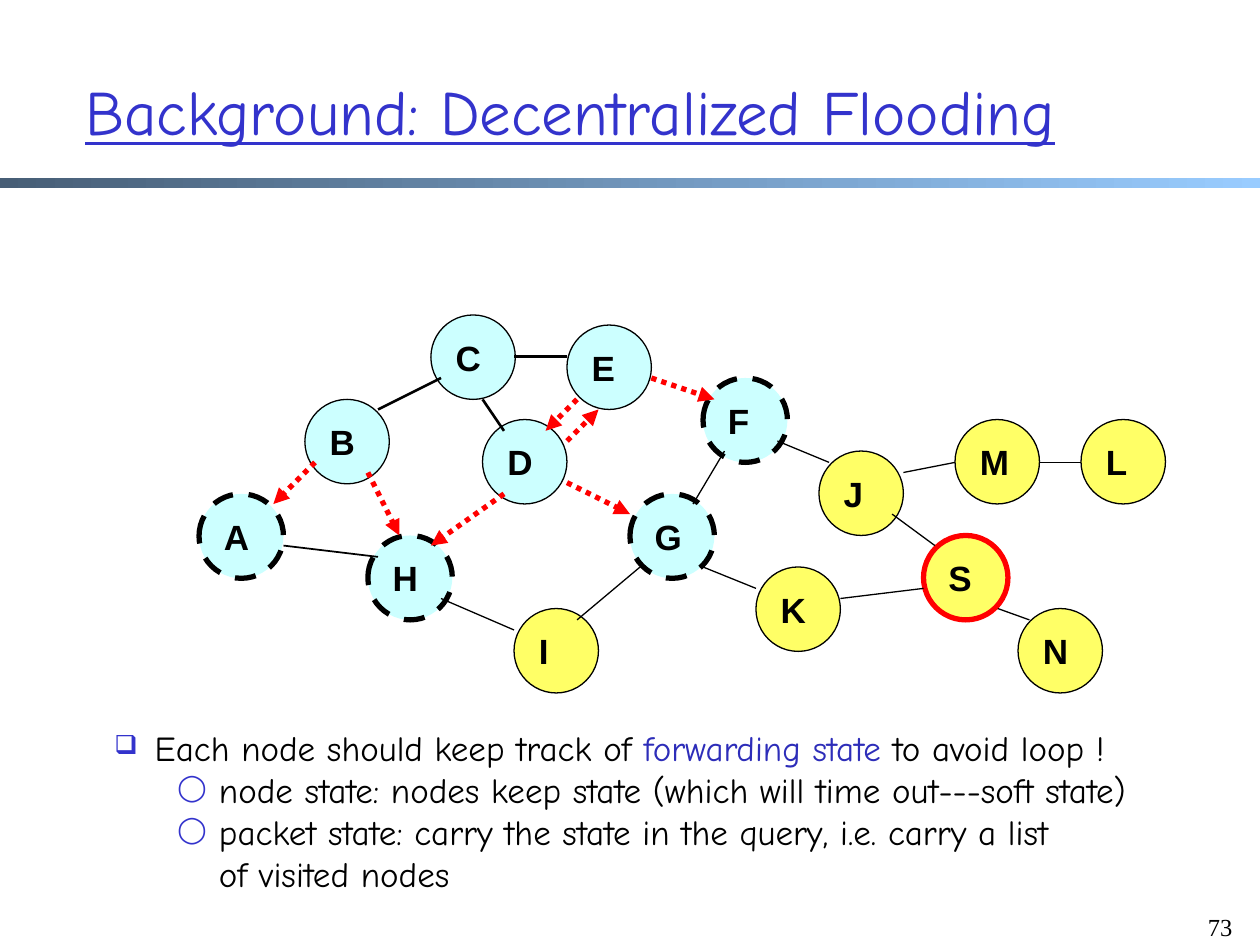
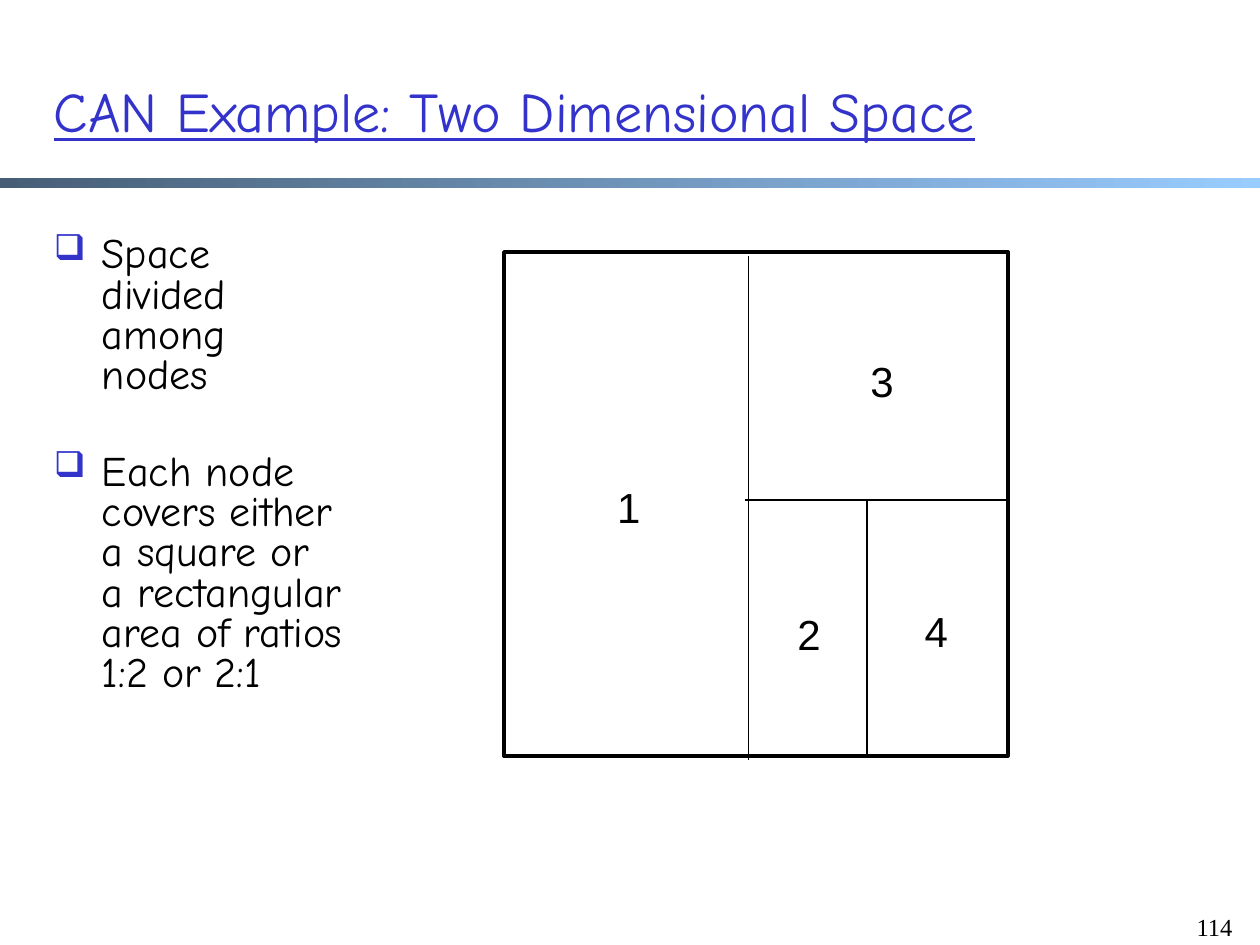
import dataclasses
import typing

import lxml.etree
import pptx
import pptx.dml.color
import pptx.enum.dml
import pptx.enum.shapes
import pptx.enum.text
import pptx.oxml.ns
import pptx.util

Inches = pptx.util.Inches
Pt = pptx.util.Pt
Dash = pptx.enum.dml.MSO_LINE
Kind = pptx.enum.shapes.MSO_SHAPE
Align = pptx.enum.text.PP_ALIGN
Anchor = pptx.enum.text.MSO_ANCHOR

HUES = {
    "ink": "000000", "title": "3333CC", "term": "2D2DB9", "dark": "475E76",
    "light": "99CCFF", "cyan": "CCFFFF", "yellow": "FFFF66", "red": "FF0000",
}
FONTS = {
    "title": {"name": "Comic Neue", "underline": True},
    "notes": {"name": "Comic Neue", "size": Pt(20)},
    "body": {"name": "Comic Neue", "size": Pt(24)},
    "page": {"name": "Times New Roman", "size": Pt(14)},
    "node": {"name": "Arial", "size": Pt(20), "bold": True},
    "zone": {"name": "Arial", "size": Pt(24)},
}
SIDE = 0.67  # node width


@dataclasses.dataclass
class Pen:
    hue: str = "ink"
    width: float = 0.75
    dash: typing.Any = None
    arrow: bool = False


THIN, FINE, BOLD = Pen(), Pen(width=1), Pen(width=1.5)
FRAME = Pen(width=2)
SEEN = Pen(width=3, dash=Dash.DASH)
GOAL = Pen("red", 3)
QUERY = Pen("red", 3, Dash.ROUND_DOT, True)


class Node(typing.NamedTuple):
    name: str
    x: float
    y: float
    fill: str = "cyan"
    pen: Pen = THIN


class Link(typing.NamedTuple):
    x1: float
    y1: float
    x2: float
    y2: float
    pen: Pen = THIN


class Label(typing.NamedTuple):
    text: str
    x: float
    y: float


class Item(typing.NamedTuple):
    runs: list[tuple[str, str]]
    mark: str
    scale: int  # bullet size in percent
    left: float
    hang: float
    form: dict[str, typing.Any] = {}


# Shared helpers
def tint(hue: str) -> pptx.dml.color.RGBColor:
    return pptx.dml.color.RGBColor.from_string(HUES[hue])


def apply(target: typing.Any, form: dict[str, typing.Any]) -> None:
    for key, value in form.items():
        setattr(target, key, value)


def tag(parent: typing.Any, name: str, **attrs: str) -> typing.Any:
    return lxml.etree.SubElement(parent, pptx.oxml.ns.qn(name), attrs)


def ink(line: typing.Any, pen: Pen) -> None:
    line.color.rgb = tint(pen.hue)
    line.width = Pt(pen.width)
    if pen.dash:
        line.dash_style = pen.dash


def write(para: typing.Any, text: str, font: str, hue: str = "ink", **more: typing.Any) -> None:
    for num, part in enumerate(text.split("\n")):
        if num:
            para.add_line_break()
        run = para.add_run()
        run.text = part
        apply(run.font, FONTS[font] | more)
        run.font.color.rgb = tint(hue)


def add_box(shapes: typing.Any, x: float, y: float, w: float, h: float,
            **form: typing.Any) -> typing.Any:
    frame = shapes.add_textbox(Inches(x), Inches(y), Inches(w), Inches(h)).text_frame
    apply(frame, {"word_wrap": True} | form)
    return frame


def add_form(shapes: typing.Any, kind: typing.Any, x: float, y: float,
             w: float, h: float) -> typing.Any:
    shape = shapes.add_shape(kind, Inches(x), Inches(y), Inches(w), Inches(h))
    shape.shadow.inherit = False
    return shape


def add_link(shapes: typing.Any, link: Link) -> None:
    ends = [Inches(value) for value in link[:4]]
    line = shapes.add_connector(pptx.enum.shapes.MSO_CONNECTOR.STRAIGHT, *ends)
    ink(line.line, link.pen)
    if link.pen.arrow:
        tag(line.line._get_or_add_ln(), "a:tailEnd", type="triangle")
    tag(line._element.spPr, "a:effectLst")


def add_node(shapes: typing.Any, node: Node) -> None:
    shape = add_form(shapes, Kind.OVAL, node.x, node.y, SIDE, SIDE)
    shape.fill.solid()
    shape.fill.fore_color.rgb = tint(node.fill)
    ink(shape.line, node.pen)
    frame = shape.text_frame
    apply(frame, {"word_wrap": False, "vertical_anchor": Anchor.MIDDLE})
    frame.paragraphs[0].alignment = Align.LEFT
    write(frame.paragraphs[0], node.name, "node")


def add_items(frame: typing.Any, items: list[Item], font: str) -> None:
    for num, item in enumerate(items):
        para = frame.add_paragraph() if num else frame.paragraphs[0]
        props = para._p.get_or_add_pPr()
        props.set("marL", str(Inches(item.left)))
        props.set("indent", str(-Inches(item.hang)))
        tag(tag(props, "a:buClr"), "a:srgbClr", val=HUES["title"])
        tag(props, "a:buSzPct", val=str(item.scale * 1000))
        tag(props, "a:buChar", char=item.mark)
        apply(para, item.form)
        for text, hue in item.runs:
            write(para, text, font, hue)


def add_base(deck: typing.Any, title: str, x: float, w: float, size: int, page: str) -> typing.Any:
    """Add a slide with its band, page number and title."""
    shapes = deck.slides.add_slide(deck.slide_layouts[6]).shapes
    band = add_form(shapes, Kind.RECTANGLE, 0, 1.41, 10, 0.08)
    band.line.fill.background()
    band.fill.gradient()
    band.fill.gradient_angle = 0
    for stop, hue in zip(band.fill.gradient_stops, ("dark", "light")):
        stop.color.rgb = tint(hue)
    foot = add_box(shapes, 9.38, 7.19, 0.5, 0.5).paragraphs[0]
    foot.alignment = Align.RIGHT
    write(foot, page, "page")
    head = add_box(shapes, x, 0.25, w, 1.25, vertical_anchor=Anchor.MIDDLE)
    write(head.paragraphs[0], title, "title", "title", size=Pt(size))
    return shapes


# Flooding graph
NODES = [
    Node("A", 1.58, 3.92, pen=SEEN), Node("B", 2.42, 3.17),
    Node("C", 3.42, 2.5), Node("D", 3.83, 3.33), Node("E", 4.5, 2.58),
    Node("F", 5.58, 3, pen=SEEN), Node("G", 5, 3.92, pen=SEEN),
    Node("H", 2.92, 4.25, pen=SEEN), Node("I", 4.08, 4.83, "yellow"),
    Node("J", 6.5, 3.58, "yellow"), Node("K", 6, 4.5, "yellow"),
    Node("S", 7.33, 4.25, "yellow", GOAL), Node("M", 7.58, 3.33, "yellow"),
    Node("N", 8.08, 4.83, "yellow"), Node("L", 8.58, 3.33, "yellow"),
]
LINKS = [
    Link(2.5, 3.67, 2.17, 4, QUERY), Link(2.92, 3.75, 3.17, 4.25, QUERY),
    Link(4, 3.92, 3.42, 4.33, QUERY), Link(4.58, 3.17, 4.33, 3.42, QUERY),
    Link(4.5, 3.5, 4.75, 3.25, QUERY), Link(5.17, 3, 5.67, 3.17, QUERY),
    Link(4.5, 3.83, 5, 4.08, QUERY),
    Link(3, 3.25, 3.5, 3, BOLD), Link(4.5, 2.83, 4.08, 2.83, BOLD),
    Link(3.83, 3.17, 4, 3.42, BOLD), Link(2.25, 4.33, 3, 4.42, FINE),
    Link(5.75, 3.58, 5.5, 4), Link(5.08, 4.5, 4.58, 4.92),
    Link(3.5, 4.75, 4.08, 5), Link(6.17, 3.5, 6.58, 3.67),
    Link(5.58, 4.5, 6, 4.67), Link(7.08, 4.08, 7.42, 4.33),
    Link(7.33, 4.67, 6.67, 4.75), Link(7.17, 3.75, 7.58, 3.67),
    Link(7.92, 4.83, 8.17, 4.92), Link(8.25, 3.67, 8.58, 3.67),
]
NOTES = [
    Item([("Each node should keep track of ", "ink"), ("forwarding state", "term"),
          (" to avoid loop !", "ink")], "❑", 75, 0.32, 0.32),
] + [
    Item([(text, "ink")], "◯", 75, 0.83, 0.33) for text in (
        "node state: nodes keep state (which will time out---soft state)",
        "packet state: carry the state in the query, i.e. carry a list\nof visited nodes",
    )
]

# Space split among nodes
POINTS = [
    Item([(text, "ink")], "❑", 85, 0.38, 0.38,
         {"line_spacing": 0.8, "space_before": Pt(gap)})
    for text, gap in (
        ("Space divided among nodes", 0),
        ("Each node covers either a square or a rectangular area of ratios 1:2 or 2:1", 32),
    )
]
ZONES = [Label("1", 4.8, 3.77), Label("2", 6.23, 4.78),
         Label("3", 6.81, 2.77), Label("4", 7.24, 4.76)]
CUTS = [Link(5.94, 2.03, 5.94, 6.03, FINE), Link(5.91, 3.97, 8.02, 3.97, FINE),
        Link(6.88, 3.96, 6.88, 6.02, FINE)]


def draw_flood(deck: typing.Any) -> None:
    shapes = add_base(deck, "Background: Decentralized Flooding", 0.58, 8.9, 36, "73")
    for node in NODES:
        add_node(shapes, node)
    for link in LINKS:
        add_link(shapes, link)
    frame = add_box(shapes, 0.81, 5.71, 9.16, 1.45, vertical_anchor=Anchor.MIDDLE)
    add_items(frame, NOTES, "notes")


def draw_space(deck: typing.Any) -> None:
    shapes = add_base(deck, "CAN Example: Two Dimensional Space", 0.33, 9, 32, "114")
    add_items(add_box(shapes, 0.33, 1.83, 2.5, 5.17), POINTS, "body")
    group = shapes.add_group_shape().shapes
    square = add_form(group, Kind.RECTANGLE, 4, 2, 4, 4)
    square.fill.background()
    ink(square.line, FRAME)
    for cut in CUTS:
        add_link(group, cut)
    for zone in ZONES:
        frame = add_box(group, zone.x, zone.y, 0.4, 0.4, word_wrap=False)
        write(frame.paragraphs[0], zone.text, "zone")


def main() -> None:
    deck = pptx.Presentation()
    apply(deck, {"slide_width": Inches(10), "slide_height": Inches(7.5)})
    draw_flood(deck)
    draw_space(deck)
    deck.save("out.pptx")


if __name__ == "__main__":
    main()
